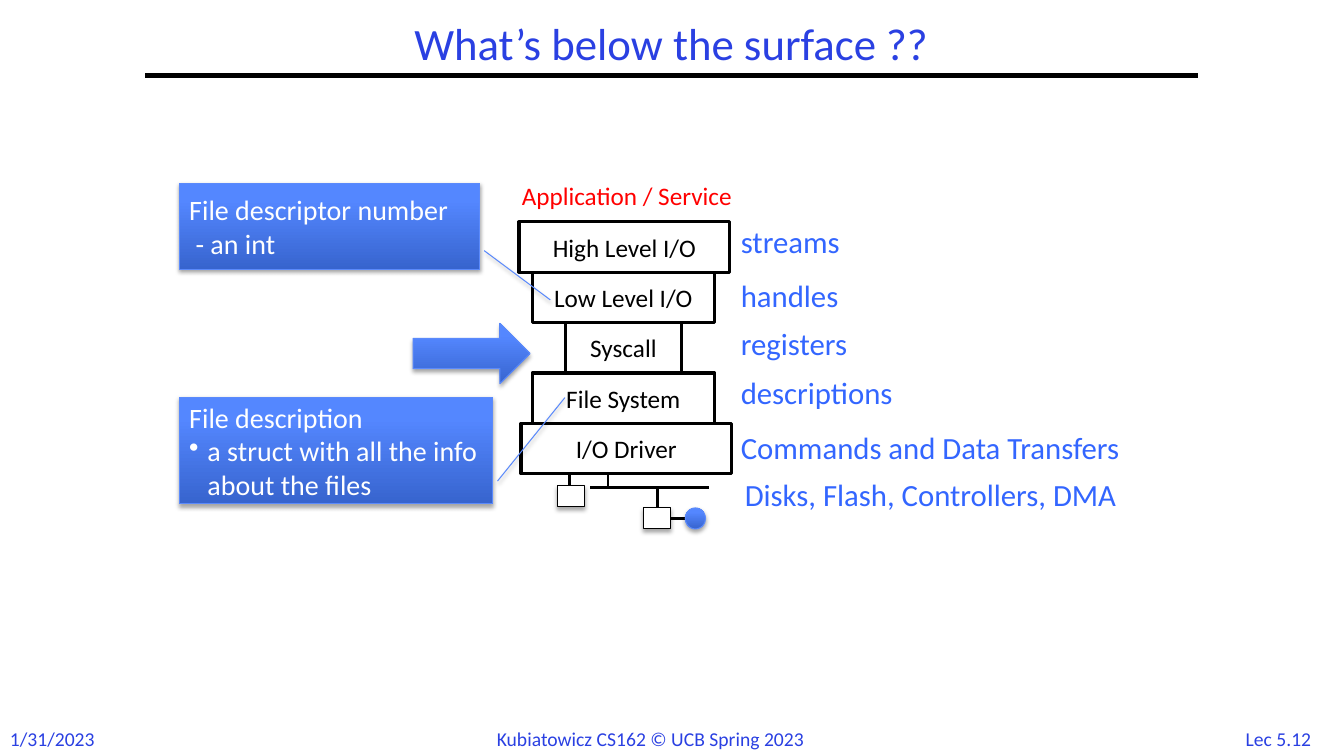
from typing import NamedTuple

from lxml import etree
from pptx import Presentation
from pptx.dml.color import RGBColor
from pptx.enum.shapes import MSO_CONNECTOR, MSO_SHAPE
from pptx.enum.text import MSO_ANCHOR, MSO_AUTO_SIZE, PP_ALIGN
from pptx.oxml import parse_xml
from pptx.oxml.ns import nsdecls, qn
from pptx.util import Cm, Pt

RECT, OVAL = MSO_SHAPE.RECTANGLE, MSO_SHAPE.OVAL
ARROW, CALLOUT = MSO_SHAPE.RIGHT_ARROW, MSO_SHAPE.LINE_CALLOUT_1
STRAIGHT = MSO_CONNECTOR.STRAIGHT
LEFT, CENTER = PP_ALIGN.LEFT, PP_ALIGN.CENTER
MIDDLE, TOP = MSO_ANCHOR.MIDDLE, MSO_ANCHOR.TOP
NO_FIT = MSO_AUTO_SIZE.NONE

FONT = "Calibri"
BLACK, WHITE, RED = "000000", "FFFFFF", "FF0000"
NAVY, BLUE, EDGE = "2A40E2", "3366FF", "5B8AFB"
GRADIENT = [(0, "3764CE"), (0.8, "5487FF")]
LAYER_TOP, LAYER_HEIGHT = 5.59, 1.27
BULLET_INDENT = 0.46


class Box(NamedTuple):
    left: float
    top: float
    width: float
    height: float


class Label(NamedTuple):
    text: str
    box: Box
    size: int
    color: str
    align: PP_ALIGN = LEFT


class Layer(NamedTuple):
    text: str
    left: float
    width: float


class Line(NamedTuple):
    x1: float
    y1: float
    x2: float
    y2: float
    width: float = 2


class Callout(NamedTuple):
    lines: list[str]
    box: Box
    leader: list[float]
    bulleted: bool


LABELS = [
    Label("1/31/2023", Box(0, 18.19, 2.79, 0.86), 14, NAVY),
    Label("Kubiatowicz CS162 © UCB Spring 2023", Box(12.27, 18.19, 9.35, 0.86), 14, NAVY),
    Label("Lec 5.12", Box(30.99, 18.19, 2.46, 0.86), 14, NAVY, CENTER),
    Label("Application / Service", Box(12.9, 4.42, 6.32, 1.02), 18, RED),
    Label("streams", Box(18.42, 5.49, 3.3, 1.19), 22, BLUE),
    Label("handles", Box(18.42, 6.86, 3.25, 1.19), 22, BLUE),
    Label("registers", Box(18.42, 8.05, 3.53, 1.19), 22, BLUE),
    Label("descriptions", Box(18.42, 9.3, 4.7, 1.19), 22, BLUE),
    Label("Commands and Data Transfers", Box(18.42, 10.67, 11.43, 1.19), 22, BLUE),
    Label("Disks, Flash, Controllers, DMA", Box(18.52, 11.86, 11.2, 1.19), 22, BLUE),
]
LAYERS = [
    Layer("High Level I/O", 13.08, 5.31),
    Layer("Low Level I/O", 13.41, 4.6),
    Layer("Syscall", 14.25, 2.92),
    Layer("File System", 13.41, 4.6),
    Layer("I/O Driver", 13.13, 5.31),
]
LINES = [
    Line(3.66, 1.9, 30.2, 1.9, 3),
    Line(14.88, 12.29, 17.88, 12.29),
    Line(15.32, 11.81, 15.32, 12.29),
    Line(16.56, 12.29, 16.56, 12.8),
    Line(16.89, 13.06, 17.27, 13.06),
    Line(14.35, 11.76, 14.35, 12.24),
]
DEVICES = [Box(16.21, 12.8, 0.69, 0.53), Box(14.05, 12.24, 0.69, 0.53)]
CALLOUTS = [
    Callout(["File descriptor number", " - an int"],
            Box(4.52, 4.62, 7.57, 2.16), [0.786, 1.015, 1.36, 1.235], False),
    Callout(["File description", "a struct with all the info about the files"],
            Box(4.52, 10.01, 7.9, 2.69), [0.786, 1.015, 0.004, 1.23], True),
]


def rgb(color: str) -> RGBColor:
    return RGBColor.from_string(color)


def emu(box: Box) -> list[Cm]:
    return [Cm(v) for v in box]


def write(sp, lines: list[str], size: int, color: str, align=LEFT, anchor=MIDDLE) -> None:
    tf = sp.text_frame
    frame = {"word_wrap": True, "auto_size": NO_FIT, "vertical_anchor": anchor}
    for name, value in frame.items():
        setattr(tf, name, value)
    for i, line in enumerate(lines):
        p = tf.paragraphs[0] if i == 0 else tf.add_paragraph()
        p.alignment = align
        r = p.add_run()
        r.text = line
        for name, value in {"name": FONT, "size": Pt(size)}.items():
            setattr(r.font, name, value)
        r.font.color.rgb = rgb(color)


def add_bullet(p) -> None:
    pPr = p._p.get_or_add_pPr()
    pPr.set("marL", str(Cm(BULLET_INDENT)))
    pPr.set("indent", str(-Cm(BULLET_INDENT)))
    etree.SubElement(pPr, qn("a:buChar")).set("char", "•")


def add_shadow(sp) -> None:
    sp._element.spPr.append(parse_xml(
        f'<a:effectLst {nsdecls("a")}><a:outerShdw blurRad="{Pt(3.1)}" dist="{Pt(1.8)}" '
        f'dir="5400000" rotWithShape="0"><a:srgbClr val="{BLACK}"><a:alpha val="35000"/>'
        '</a:srgbClr></a:outerShdw></a:effectLst>'))


def add_plain(shapes, box: Box, width: float):
    """White rectangle with a black outline."""
    sp = shapes.add_shape(RECT, *emu(box))
    sp.fill.solid()
    sp.fill.fore_color.rgb = rgb(WHITE)
    sp.line.color.rgb = rgb(BLACK)
    sp.line.width = Pt(width)
    return sp


def add_glossy(shapes, kind: MSO_SHAPE, box: Box):
    """Blue shape, light at the top, with a soft shadow."""
    sp = shapes.add_shape(kind, *emu(box))
    sp.fill.gradient()
    sp.fill.gradient_angle = 90
    for stop, (position, color) in zip(sp.fill.gradient_stops, GRADIENT):
        stop.position = position
        stop.color.rgb = rgb(color)
    sp.line.color.rgb = rgb(EDGE)
    sp.line.width = Pt(0.75)
    add_shadow(sp)
    return sp


def add_line(shapes, line: Line) -> None:
    c = shapes.add_connector(STRAIGHT, *[Cm(v) for v in line[:4]])
    c.line.color.rgb = rgb(BLACK)
    c.line.width = Pt(line.width)
    etree.SubElement(c._element.spPr, qn("a:effectLst"))


def main() -> None:
    prs = Presentation()
    prs.slide_width, prs.slide_height = Cm(33.87), Cm(19.05)
    s = prs.slides.add_slide(prs.slide_layouts[5])
    shapes = s.shapes

    title = shapes.title
    title.left, title.top, title.width, title.height = emu(Box(3.66, 0.43, 26.52, 1.47))
    write(title, ["What’s below the surface ??"], 32, NAVY, CENTER)
    title.text_frame.paragraphs[0].line_spacing = 0.9

    for line in LINES:
        add_line(shapes, line)
    for box in DEVICES:
        add_shadow(add_plain(shapes, box, 0.75))
    add_glossy(shapes, OVAL, Box(17.27, 12.8, 0.51, 0.53))

    stack = shapes.add_group_shape().shapes
    for i, layer in enumerate(LAYERS):
        box = Box(layer.left, LAYER_TOP + i * LAYER_HEIGHT, layer.width, LAYER_HEIGHT)
        sp = add_plain(stack, box, 2.25)
        sp.shadow.inherit = False
        write(sp, [layer.text], 18, BLACK, CENTER)

    for label in LABELS:
        sp = shapes.add_textbox(*emu(label.box))
        write(sp, [label.text], label.size, label.color, label.align, TOP)

    add_glossy(shapes, ARROW, Box(10.41, 8.15, 2.95, 1.52))
    for callout in CALLOUTS:
        sp = add_glossy(shapes, CALLOUT, callout.box)
        for i, value in enumerate(callout.leader):
            sp.adjustments[i] = value
        write(sp, callout.lines, 20, WHITE)
        if callout.bulleted:
            add_bullet(sp.text_frame.paragraphs[1])

    prs.save("out.pptx")


if __name__ == "__main__":
    main()
